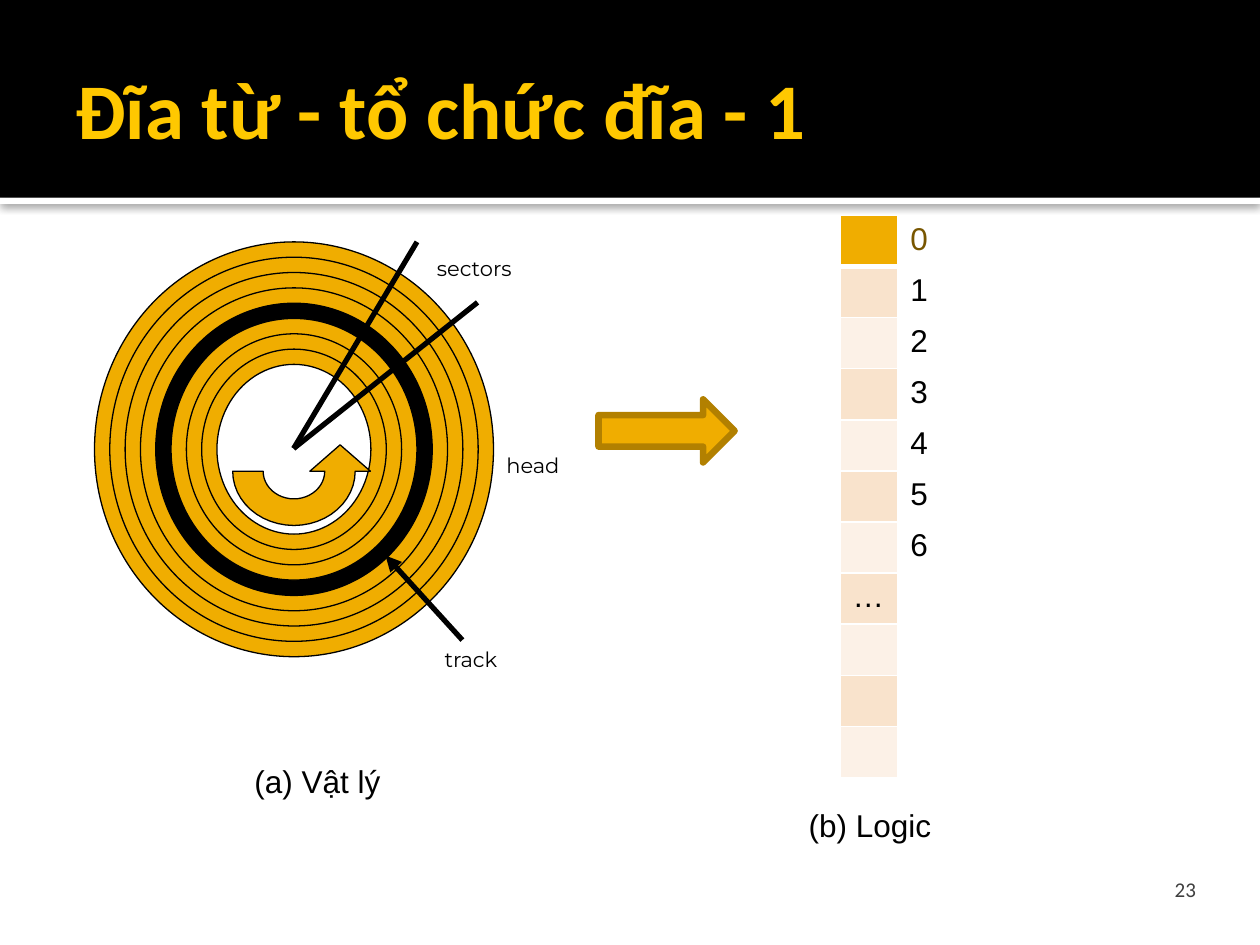
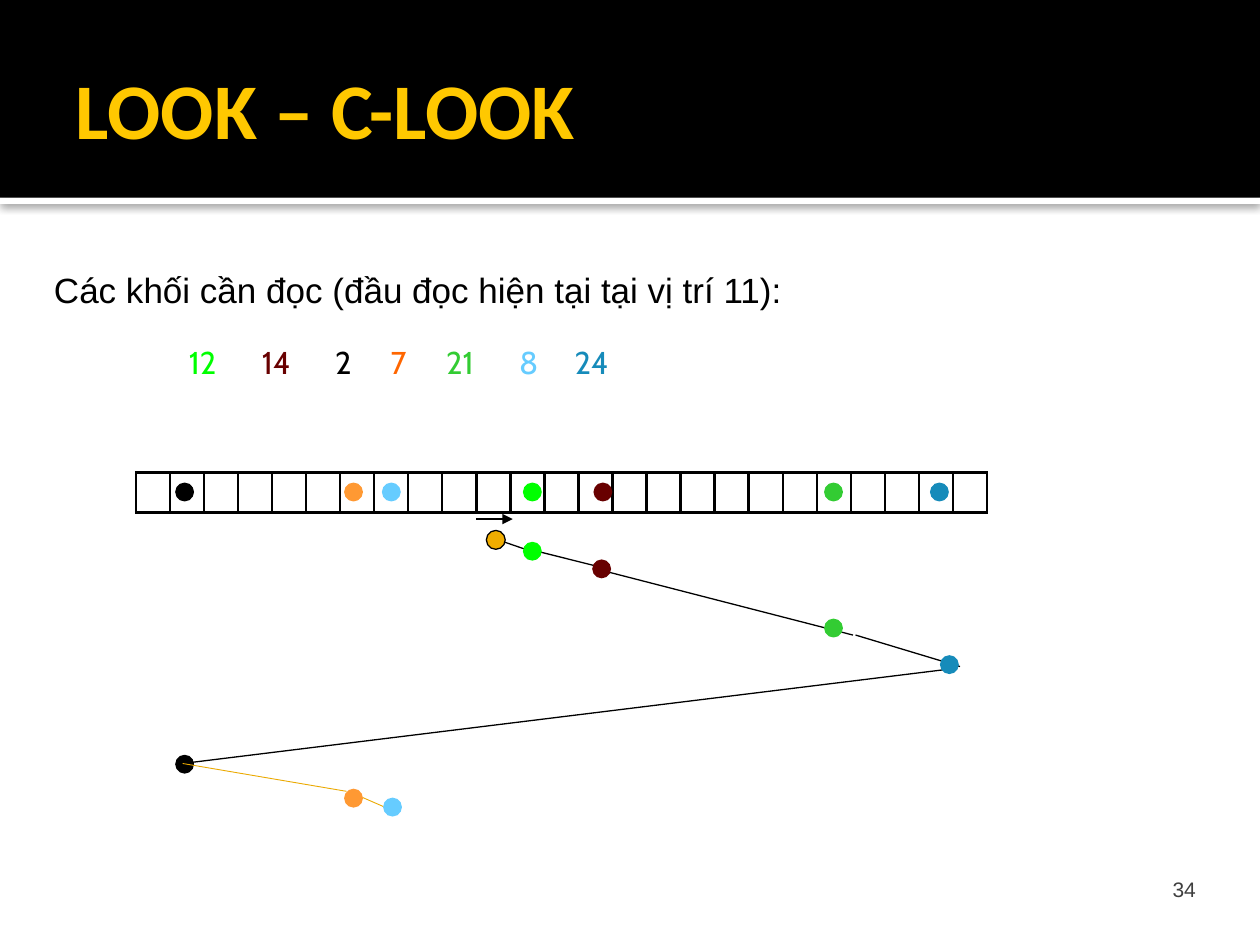
from math import cos, pi, sin

from lxml.etree import SubElement
from pptx import Presentation
from pptx.dml.color import RGBColor as Rgb
from pptx.enum.shapes import MSO_CONNECTOR as Link, MSO_SHAPE as Kind
from pptx.enum.text import MSO_ANCHOR as Anchor, MSO_AUTO_SIZE as Fit, PP_ALIGN as Align
from pptx.oxml import parse_xml
from pptx.oxml.ns import nsdecls, qn
from pptx.util import Pt

HUE = {
    "black": "000000", "white": "FFFFFF", "title": "FFC800", "grey": "3F3F3F",
    "gold": "F0AD00", "edge": "B28000", "amber": "EBA900", "brown": "785600",
    "peach": "F9E3CC", "cream": "FCF1E7", "lime": "00FF00", "maroon": "680000",
    "red": "FF6600", "orange": "FF9933", "green": "33CC33", "sky": "66CCFF",
    "blue": "168BBA",
}


def paint(shape, fill, line=None, width=0.75):
    shape.shadow.inherit = False
    shape.fill.solid()
    shape.fill.fore_color.rgb = Rgb.from_string(HUE[fill])
    if line:
        shape.line.color.rgb = Rgb.from_string(HUE[line])
        shape.line.width = Pt(width)
    else:
        shape.line.fill.background()
    return shape


def draw(slide, ends, hue="black", width=0.75, arrow=False):
    """Draw a straight line; ends holds x1, y1, x2, y2 in points."""
    line = slide.shapes.add_connector(Link.STRAIGHT, *map(Pt, ends))
    line.line.color.rgb = Rgb.from_string(HUE[hue])
    line.line.width = Pt(width)
    if arrow:
        SubElement(line.line._get_or_add_ln(), qn("a:tailEnd"), type="triangle")
    SubElement(line.element.spPr, qn("a:effectLst"))


deck = Presentation()
deck.slide_width, deck.slide_height = Pt(720), Pt(540)
layout = deck.slide_layouts[5]
for spare in list(layout.placeholders)[1:]:
    spare.element.getparent().remove(spare.element)

# Titles and page numbers
pages = [("Đĩa từ - tổ chức đĩa - 1", "23", "Calibri"),
         ("LOOK – C-LOOK", "34", "Arial")]
slides = []
for name, number, font in pages:
    slide = deck.slides.add_slide(layout)
    slides.append(slide)
    title = slide.shapes.title
    title.left, title.top, title.width, title.height = map(Pt, (36, 12.24, 648, 98.64))
    frame = title.text_frame
    frame.text = name
    frame.word_wrap, frame.auto_size = True, Fit.NONE
    frame.vertical_anchor = Anchor.MIDDLE
    frame.margin_left = Pt(7.2)
    frame.margin_top = frame.margin_right = frame.margin_bottom = Pt(3.6)
    para = frame.paragraphs[0]
    para.alignment = Align.LEFT
    face = para.runs[0].font
    face.name, face.size, face.bold = "Calibri", Pt(45), True
    face.color.rgb = Rgb.from_string(HUE["title"])

    frame = slide.shapes.add_textbox(Pt(642.24), Pt(474.5), Pt(48.24), Pt(41)).text_frame
    frame.text = number
    frame.word_wrap = True
    frame.vertical_anchor = Anchor.BOTTOM
    frame.margin_bottom = 0
    para = frame.paragraphs[0]
    para.alignment = Align.RIGHT
    face = para.runs[0].font
    face.name, face.size = font, Pt(12)
    face.color.rgb = Rgb.from_string(HUE["grey"])
disk, look = slides

# Header bands, kept on the layout
strip = paint(disk.shapes.add_shape(Kind.RECTANGLE, 0, Pt(113), Pt(720), Pt(3.6)), "white")
band = paint(disk.shapes.add_shape(Kind.RECTANGLE, 0, 0, Pt(720), Pt(113)), "black")
strip.element.spPr.find(qn("a:effectLst")).append(parse_xml(
    f'<a:outerShdw {nsdecls("a")} blurRad="{Pt(5)}" dist="{Pt(0.8)}" dir="5400000">'
    '<a:srgbClr val="000000"><a:alpha val="60000"/></a:srgbClr></a:outerShdw>'))
for spot, shape in enumerate((strip, band), 2):
    layout.shapes.element.insert(spot, shape.element)

# Logical block list
blocks = disk.shapes.add_table(11, 2, Pt(480), Pt(123.1), Pt(66.2), Pt(321.2)).table
blocks.first_row = blocks.horz_banding = False
for col in blocks.columns:
    col.width = Pt(33.1)
for i, row in enumerate(blocks.rows):
    row.height = Pt(29.2)
    mark, label = row.cells
    mark.fill.solid()
    shade = "gold" if i == 0 else ("cream", "peach")[i % 2]
    mark.fill.fore_color.rgb = Rgb.from_string(HUE[shade])
    label.fill.background()
    if i > 7:
        continue
    cell = mark if i == 7 else label
    cell.text = "…" if i == 7 else str(i)
    face = cell.text_frame.paragraphs[0].runs[0].font
    face.name, face.size = "Arial", Pt(18)
    face.color.rgb = Rgb.from_string(HUE["black" if i else "brown"])

# Disk platter
for i in range(9):
    box = (54 + 8.75 * i, 138.24 + 8.75 * i, 228 - 17.5 * i, 237 - 17.5 * i)
    ring = disk.shapes.add_shape(Kind.OVAL, *map(Pt, box))
    paint(ring, {4: "black", 8: "white"}.get(i, "gold"), "black")

steps = [pi * i / 24 for i in range(25)]
inner = [(168 + 17.6 * cos(a), 269.3 + 15.8 * sin(a)) for a in steps]
outer = [(168 + 35 * cos(a), 269.3 + 31 * sin(a)) for a in reversed(steps)]
tip = [(211.7, 269.3), (194.4, 254.2), (177.1, 269.3)]
dots = [(Pt(x), Pt(y)) for x, y in inner + outer + tip]
pen = disk.shapes.build_freeform(*dots[0])
pen.add_line_segments(dots[1:], close=True)
paint(pen.convert_to_shape(), "gold", "black")

draw(disk, (264.24, 365.76, 220.32, 317.5), width=3, arrow=True)
for x, y in [(238.3, 138.24), (272.9, 172.8)]:
    draw(disk, (167.8, 256.3, x, y), width=3)
arrow = disk.shapes.add_shape(Kind.RIGHT_ARROW, Pt(342), Pt(228.24), Pt(77.76), Pt(36))
paint(arrow, "gold", "edge", 3.78)

# Block strip
track = look.shapes.add_table(1, 25, Pt(77.76), Pt(270), Pt(486.75), Pt(22.8)).table
track.first_row = track.horz_banding = False
track.rows[0].height = Pt(22.8)
for col in track.columns:
    col.width = Pt(19.47)
for cell in track.iter_cells():
    cell.fill.background()
    cell.margin_top = cell.margin_bottom = 0

# Head path: block, text colour, dot colour, strip x, stop x, stop y
stops = [
    (12, "lime", "lime", 298.8, 298.8, 309.6),
    (14, "maroon", "maroon", 339.1, 338.4, 319.7),
    (2, "black", "black", 100.1, 100.1, 431.3),
    (7, "red", "orange", 196.6, 196.6, 450.7),
    (21, "green", "green", 470.9, 470.9, 353.5),
    (8, "sky", "sky", 218.2, 218.9, 455.8),
    (24, "blue", "blue", 531.4, 537.1, 374.4),
]
draw(look, (272.2, 296.64, 293, 296.64), arrow=True)
for ends in [(283.7, 308.2, 304.6, 315.4), (305.3, 314.6, 345.6, 324.7),
             (344.9, 326.2, 487.4, 362.9), (488.9, 362.9, 548.6, 380.9),
             (542.9, 382.3, 104.4, 436.3)]:
    draw(look, ends)
start = look.shapes.add_shape(Kind.OVAL, Pt(277.9), Pt(303.1), Pt(10.8), Pt(10.8))
paint(start, "gold", "black")
for _, _, hue, cell_x, x, y in stops:
    for left, top in [(cell_x, 275.76), (x, y)]:
        dot = look.shapes.add_shape(Kind.OVAL, Pt(left), Pt(top), Pt(10.8), Pt(10.8))
        paint(dot, hue)
for ends in [(104.4, 436.3, 198, 452.2), (207.4, 455.8, 218.9, 460.8)]:
    draw(look, ends, "amber", 0.5)

# Labels: slide, text, x, y, width, height, size, font, colour, wrap
labels = [
    (disk, "head", 282.24, 254.9, 54, 21.6, 12, "Montserrat", "black", True),
    (disk, "track", 247, 365.76, 72, 21.6, 12, "Montserrat", "black", True),
    (disk, "sectors", 242.6, 142.56, 99.4, 21.6, 12, "Montserrat", "black", True),
    (disk, "(a) Vật lý", 138.24, 432, 87.1, 28.8, 18, "Arial", "black", False),
    (disk, "(b) Logic", 455, 457.2, 85, 28.8, 18, "Arial", "black", False),
    (look, "Các khối cần đọc (đầu đọc hiện tại tại vị trí 11):",
     23.76, 149.76, 430.6, 31, 20, "Arial", "black", False),
]
x = 100.8
for block, hue, *_ in stops:
    width = 34.6 if block > 9 else 24.5
    labels.append((look, str(block), x, 192.24, width, 28.8, 18, "Cabin", hue, True))
    x += width + 7.2
for slide, words, x, y, width, height, size, font, hue, wrap in labels:
    frame = slide.shapes.add_textbox(Pt(x), Pt(y), Pt(width), Pt(height)).text_frame
    frame.text = words
    frame.word_wrap = wrap
    face = frame.paragraphs[0].runs[0].font
    face.name, face.size = font, Pt(size)
    face.color.rgb = Rgb.from_string(HUE[hue])

# Cell borders
for grid, hue, thin, thick in [(blocks, "white", 1, 3), (track, "black", 1.5, 1.5)]:
    for r, row in enumerate(grid.rows):
        for cell in row.cells:
            props = cell._tc.get_or_add_tcPr()
            for i, side in enumerate("LRTB"):
                wide = (r, side) in [(0, "B"), (1, "T")]
                props.insert(i, parse_xml(
                    f'<a:ln{side} {nsdecls("a")} w="{Pt(thick if wide else thin)}">'
                    f'<a:solidFill><a:srgbClr val="{HUE[hue]}"/></a:solidFill></a:ln{side}>'))

deck.save("out.pptx")
